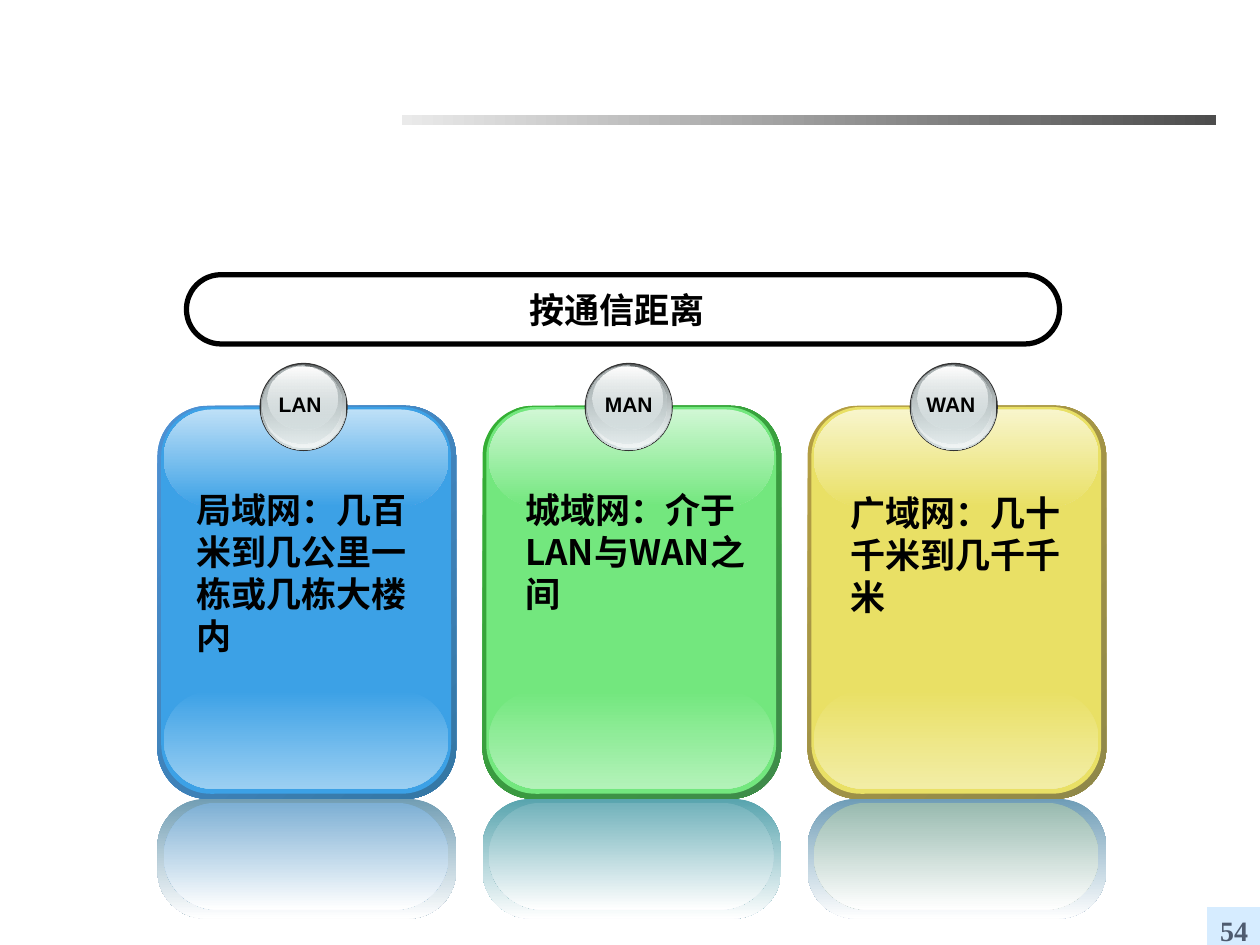
from lxml import etree
from pptx import Presentation
from pptx.dml.color import RGBColor
from pptx.enum import shapes, text
from pptx.oxml.ns import qn
from pptx.util import Inches, Pt

COLORS = {
    "white": "FFFFFF", "black": "000000", "rule_light": "EAEAEA", "rule_dark": "4D4D4D",
    "page_box": "D6ECFF", "page_text": "4E5B6F",
    "rim": "333333", "steel": "636869", "silver": "D6E1E2", "pearl": "F1F5F5", "ash": "AAB2B3",
}
CJK_FONT = "Noto Sans CJK SC"
HEADING = "按通信距离"
PAGE_NUMBER = "54"
NETWORKS = [
    {"label": "LAN ", "label_box": (0.86, 0.59),
     "description": "局域网：几百米到几公里一栋或几栋大楼内", "font": "Arial",
     "description_box": (0.21, 3.83, 1.94, 1.44),
     "edge": ("4E91D4", "3477A4"), "body": "3CA1E6", "top": "BEE0F7", "bottom": "9BCFF2",
     "reflections": ("729EB4", "7DAFD4")},
    {"label": "MAN ", "label_box": (0.85, 0.62),
     "description": "城域网：介于LAN与WAN之间", "font": CJK_FONT,
     "description_box": (0.24, 3.83, 1.95, 1.1),
     "edge": ("34B034", "3F8B4A"), "body": "73E77E", "top": "D0F7D4", "bottom": "B3F2B9",
     "reflections": ("58A4AE", "72B2BB")},
    {"label": "WAN ", "label_box": (0.84, 0.64),
     "description": "广域网：几十千米到几千千米", "font": "Arial",
     "description_box": (0.24, 3.85, 1.89, 1.44),
     "edge": ("B59F43", "8F8849"), "body": "E9E065", "top": "F8F5CC", "bottom": "F2EDA6",
     "reflections": ("6F9DB7", "98BAAF")},
]
BALL_LAYERS = [
    ((0.81, 2.88, 0.7, 0.7), ("rim", "rim"), (100, 100)),
    ((0.82, 2.89, 0.68, 0.68), ("steel", "silver"), (100, 100)),
    ((0.83, 2.89, 0.66, 0.66), ("silver", "pearl"), (0, 100)),
    ((0.83, 2.9, 0.63, 0.62), ("ash", "silver"), (100, 48)),
    ((0.87, 2.91, 0.56, 0.5), ("white", "silver"), (100, 38)),
]
CARD_LEFT, CARD_PITCH = 1.25, 2.58
RECT = shapes.MSO_SHAPE.RECTANGLE
ROUND = shapes.MSO_SHAPE.ROUNDED_RECTANGLE
OVAL = shapes.MSO_SHAPE.OVAL


def add_panel(parent, kind, box, colors, angle=90, corner=None, opacity=(100, 100)):
    panel = parent.add_shape(kind, *map(Inches, box))
    panel.shadow.inherit = False
    panel.line.fill.background()
    if corner is not None:
        panel.adjustments[0] = corner
    if colors[0] == colors[1]:
        panel.fill.solid()
        panel.fill.fore_color.rgb = RGBColor.from_string(colors[0])
        return panel
    panel.fill.gradient()
    panel.fill.gradient_angle = -angle % 360
    for stop, color in zip(panel.fill.gradient_stops, colors):
        stop.color.rgb = RGBColor.from_string(color)
    for color_node, percent in zip(panel.element.spPr.iter(qn("a:srgbClr")), opacity):
        if percent < 100:
            etree.SubElement(color_node, qn("a:alpha"), val=str(percent * 1000))
    return panel


def write(shape, words, size, font="Arial", color=COLORS["black"], wrap=False,
          align=text.PP_ALIGN.CENTER, anchor=text.MSO_ANCHOR.MIDDLE,
          insets=(0.1, 0.05, 0.1, 0.05)):
    frame = shape.text_frame
    frame.text = words
    frame.word_wrap = wrap
    frame.vertical_anchor = anchor
    frame.margin_left, frame.margin_top, frame.margin_right, frame.margin_bottom = map(Inches, insets)
    paragraph = frame.paragraphs[0]
    paragraph.alignment = align
    run = paragraph.runs[0]
    run.font.size, run.font.name, run.font.bold = Pt(size), font, True
    run.font.color.rgb = RGBColor.from_string(color)
    etree.SubElement(run.font._element, qn("a:ea"), typeface=CJK_FONT)


def add_card(slide, left, network):
    card = slide.shapes.add_group_shape().shapes

    def place(box):
        return (left + box[0], *box[1:])

    body, white = network["body"], COLORS["white"]
    outer_reflection, inner_reflection = network["reflections"]
    for box, colors, angle, corner in [
        ((0, 3.22, 2.37, 3.12), network["edge"], 45, 0.17),
        ((0.03, 3.23, 2.3, 3.07), (body, body), 90, 0.17),
        ((0.05, 5.48, 2.26, 0.78), (body, network["bottom"]), 90, 0.5),
        ((0.05, 3.25, 2.26, 0.77), (network["top"], body), 90, 0.5),
        ((0, 6.34, 2.37, 0.95), (outer_reflection, white), 90, 0.4),
        ((0.05, 6.37, 2.26, 0.85), (inner_reflection, white), 90, 0.5),
    ]:
        add_panel(card, ROUND, place(box), colors, angle, corner)

    for box, names, opacity in BALL_LAYERS:
        add_panel(card, OVAL, place(box), [COLORS[name] for name in names], opacity=opacity)

    offset, width = network["label_box"]
    label = card.add_textbox(*map(Inches, place((offset, 3.06, width, 0.3))))
    write(label, network["label"], 12, anchor=text.MSO_ANCHOR.TOP)
    description = card.add_textbox(*map(Inches, place(network["description_box"])))
    write(description, network["description"], 20, network["font"], wrap=True,
          align=text.PP_ALIGN.LEFT, anchor=text.MSO_ANCHOR.TOP)


def main():
    deck = Presentation()
    deck.slide_width, deck.slide_height = Inches(10), Inches(7.5)
    slide = deck.slides.add_slide(deck.slide_layouts[6])

    add_panel(slide.shapes, RECT, (3.19, 0.91, 6.46, 0.08),
              (COLORS["rule_light"], COLORS["rule_dark"]), angle=0)
    page = add_panel(slide.shapes, RECT, (9.58, 7.2, 0.43, 0.36), (COLORS["page_box"],) * 2)
    write(page, PAGE_NUMBER, 16, "Times New Roman", COLORS["page_text"],
          insets=(0.02, 0, 0.02, 0))

    for index, network in enumerate(NETWORKS):
        add_card(slide, CARD_LEFT + index * CARD_PITCH, network)

    heading = add_panel(slide.shapes, ROUND, (1.48, 2.18, 6.93, 0.55),
                        (COLORS["white"],) * 2, corner=0.5)
    heading.line.color.rgb = RGBColor.from_string(COLORS["black"])
    heading.line.width = Pt(3)
    write(heading, HEADING, 20, insets=(0.1, 0.05, 0.19, 0.05))

    deck.save("out.pptx")


if __name__ == "__main__":
    main()
